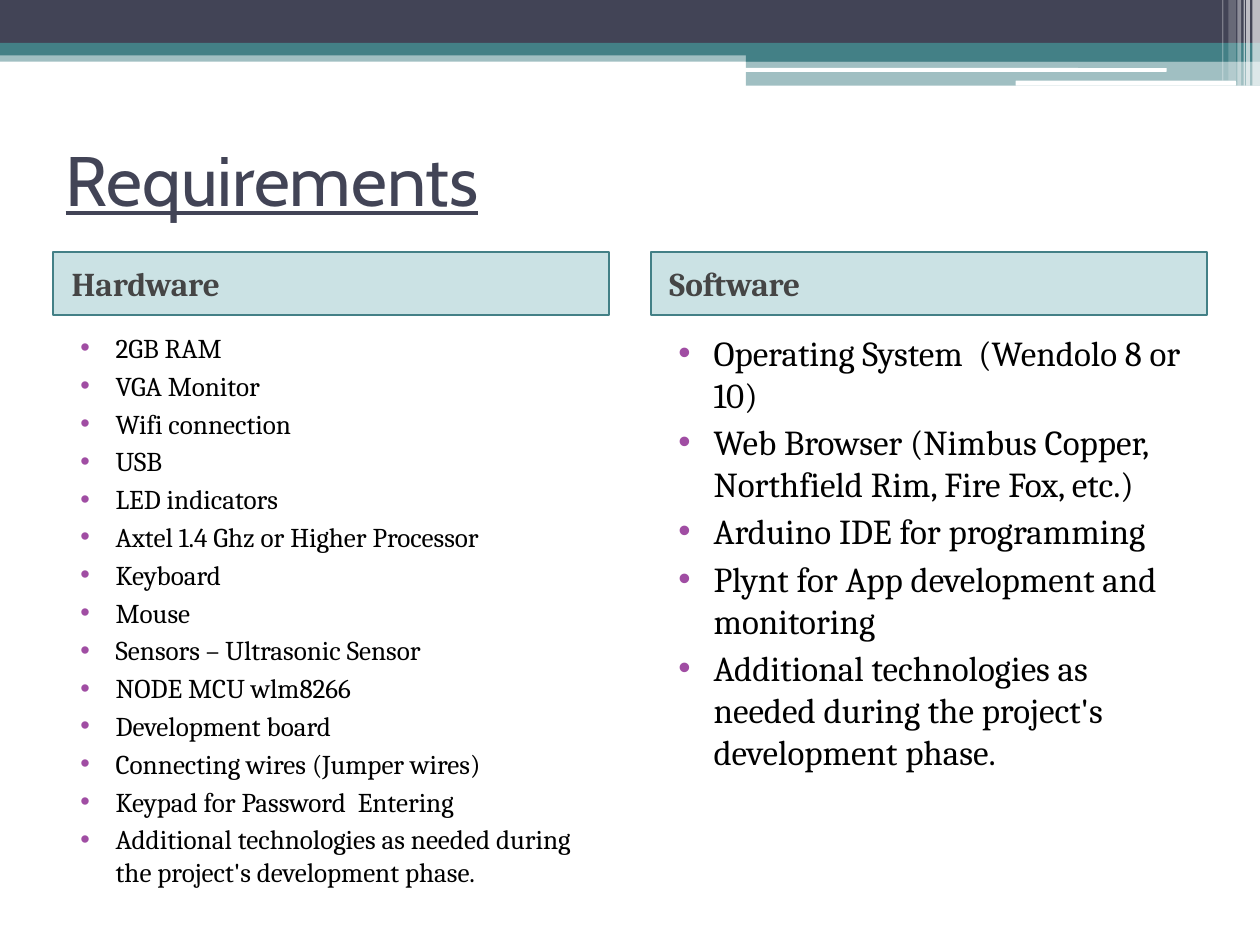
from lxml import etree
from pptx import Presentation
from pptx.dml.color import RGBColor
from pptx.enum.shapes import MSO_SHAPE
from pptx.enum.text import MSO_ANCHOR, PP_ALIGN
from pptx.oxml.ns import qn
from pptx.util import Inches, Pt

RECT, ROUND = MSO_SHAPE.RECTANGLE, MSO_SHAPE.ROUNDED_RECTANGLE
LEFT, TOP, MIDDLE = PP_ALIGN.LEFT, MSO_ANCHOR.TOP, MSO_ANCHOR.MIDDLE
NAVY, TEAL, WHITE, PURPLE = "424456", "438086", "FFFFFF", "A04DA3"

# Content
TITLE = "Requirements"
PHASE = "Additional technologies as needed during the project's development phase."
COLUMNS = [
    ("Hardware", 15.5, [
        "2GB RAM", "VGA Monitor", "Wifi connection", "USB", "LED indicators",
        "Axtel 1.4 Ghz or Higher Processor", "Keyboard", "Mouse",
        "Sensors – Ultrasonic Sensor", "NODE MCU wlm8266", "Development board",
        "Connecting wires (Jumper wires)", "Keypad for Password  Entering", PHASE]),
    ("Software", 20, [
        "Operating System  (Wendolo 8 or 10)",
        "Web Browser (Nimbus Copper, Northfield Rim, Fire Fox, etc.)",
        "Arduino IDE for programming",
        "Plynt for App development and  monitoring", PHASE]),
]

# Header decoration: shape, left, top, width, height, colour, opacity %
BANDS = [
    (RECT, 0, 0.4, 10, 0.09, TEAL, 50),
    (RECT, 0, 0, 10, 0.34, NAVY, 100),
    (RECT, 0, 0.34, 10, 0.1, TEAL, 100),
    (RECT, 5.92, 0.39, 4.08, 0.1, TEAL, 100),
    (RECT, 5.92, 0.48, 4.08, 0.2, TEAL, 50),
    (ROUND, 5.91, 0.54, 3.35, 0.03, WHITE, 100),
    (ROUND, 8.06, 0.64, 1.75, 0.04, WHITE, 100),
]
# Light stripes at the right edge: left, width, height, opacity %
STRIPES = [
    (9.94, 0.06, 0.68, 65), (9.89, 0.03, 0.68, 65), (9.87, 0.01, 0.68, 60),
    (9.82, 0.03, 0.68, 40), (9.75, 0.06, 0.64, 20), (9.7, 0.01, 0.64, 30),
]

# Grid
SLIDE_W, SLIDE_H = 10, 7.5
MARGIN, GUTTER = 0.42, 0.33
CONTENT_W = SLIDE_W - 2 * MARGIN
COLUMN_W = (CONTENT_W - GUTTER) / 2
TITLE_TOP, TITLE_H = 0.83, 1.17
HEADING_TOP, HEADING_H = 2, 0.5
LIST_TOP, LIST_H = 2.58, 4.25


def color(value):
    return RGBColor.from_string(value)


def add_panel(kind, left, top, width, height, fill, opacity, line=None):
    panel = slide.shapes.add_shape(
        kind, Inches(left), Inches(top), Inches(width), Inches(height))
    panel.shadow.inherit = False
    panel.fill.solid()
    panel.fill.fore_color.rgb = color(fill)
    if opacity < 100:
        fill_color = panel.fill._xPr.find(qn("a:solidFill"))[0]
        etree.SubElement(fill_color, qn("a:alpha"), val=str(opacity * 1000))
    if line:
        panel.line.color.rgb = color(line)
        panel.line.width = Pt(1)
    else:
        panel.line.fill.background()
    return panel


def add_run(paragraph, text, size, font, text_color, **style):
    run = paragraph.add_run()
    run.text = text
    run.font.size = Pt(size)
    run.font.name = font
    run.font.color.rgb = color(text_color)
    for key, value in style.items():
        setattr(run.font, key, value)


def set_indent(paragraph, left, first=0.0):
    props = paragraph._p.get_or_add_pPr()
    props.set("marL", str(Inches(left)))
    props.set("indent", str(Inches(first)))
    return props


def add_bullet(paragraph):
    props = set_indent(paragraph, 0.4, -0.28)
    bullet_color = etree.SubElement(props, qn("a:buClr"))
    etree.SubElement(bullet_color, qn("a:srgbClr"), val=PURPLE)
    etree.SubElement(props, qn("a:buFont"), typeface="Arial")
    etree.SubElement(props, qn("a:buChar"), char="•")


prs = Presentation()
prs.slide_width, prs.slide_height = Inches(SLIDE_W), Inches(SLIDE_H)
slide = prs.slides.add_slide(prs.slide_layouts[5])

# Header
for band in BANDS:
    add_panel(*band)
for left, width, height, opacity in STRIPES:
    add_panel(RECT, left, 0, width, height, WHITE, opacity)

# Title
title = slide.shapes.title
title.left, title.top = Inches(MARGIN), Inches(TITLE_TOP)
title.width, title.height = Inches(CONTENT_W), Inches(TITLE_H)
title.text_frame.vertical_anchor = MIDDLE
title_line = title.text_frame.paragraphs[0]
title_line.alignment = LEFT
add_run(title_line, TITLE, 40, "Cabin", NAVY, underline=True)

# Columns: heading bar over a bulleted list
for index, (heading, size, items) in enumerate(COLUMNS):
    left = MARGIN + index * (COLUMN_W + GUTTER)
    bar = add_panel(RECT, left, HEADING_TOP, COLUMN_W, HEADING_H, "328E97", 25, TEAL)
    bar.text_frame.vertical_anchor = MIDDLE
    heading_line = bar.text_frame.paragraphs[0]
    heading_line.alignment = LEFT
    set_indent(heading_line, 0.05)
    add_run(heading_line, heading, 19, "Cambria", "454545", bold=True)

    frame = slide.shapes.add_textbox(
        Inches(left), Inches(LIST_TOP), Inches(COLUMN_W), Inches(LIST_H)).text_frame
    frame.word_wrap = True
    frame.vertical_anchor = TOP
    for row, item in enumerate(items):
        entry = frame.add_paragraph() if row else frame.paragraphs[0]
        add_bullet(entry)
        if row:
            entry.space_before = Pt(3)
        add_run(entry, item, size, "Cambria", "000000")

prs.save("out.pptx")
